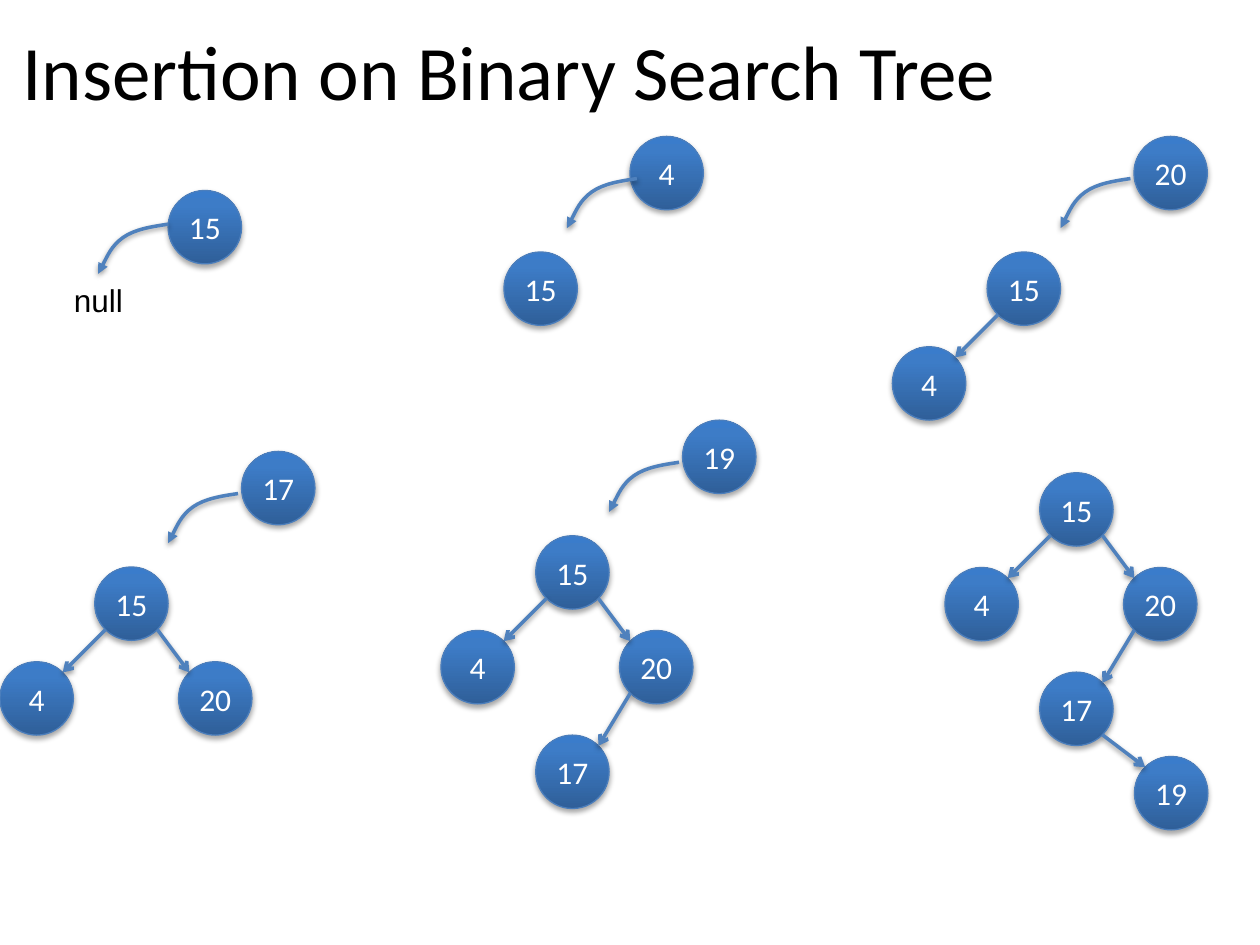
from copy import deepcopy

from lxml.etree import SubElement
from pptx import Presentation
from pptx.dml.color import RGBColor
from pptx.enum.dml import MSO_LINE
from pptx.enum.shapes import MSO_CONNECTOR, MSO_SHAPE
from pptx.enum.text import MSO_ANCHOR, MSO_AUTO_SIZE, PP_ALIGN
from pptx.oxml.ns import qn
from pptx.util import Cm, Pt

NODE = 1.48
RIM = NODE * 0.146
BRANCHES = {
    "4": (-1.91, 1.91, "15"),
    "20": (1.69, 1.91, "15"),
    "17": (0, 4.02, "20"),
    "19": (1.91, 5.72, "17"),
}
SWOOP = [(1.41, 0), (1.08, 0.05), (0.74, 0.1), (0.5, 0.27),
         (0.26, 0.44), (0, 1), (0, 1)]
STEPS = [
    (10.16, 5.08, [], "4", 2.54, 1.27),
    (19.9, 5.08, ["4"], "20", 2.96, 1.48),
    (1.91, 11.43, ["4", "20"], "17", 2.96, 1.48),
    (10.8, 10.8, ["4", "20", "17"], "19", 2.96, 1.48),
]


def color(hex_string):
    return RGBColor.from_string(hex_string)


def style_text(paragraph, font_name, size, hex_string):
    for run in paragraph.runs:
        run.font.name = font_name
        run.font.size = Pt(size)
        run.font.color.rgb = color(hex_string)


def add_shadow(shape, distance, opacity):
    properties = shape.element.spPr
    effects = properties.find(qn("a:effectLst"))
    if effects is None:
        effects = SubElement(properties, qn("a:effectLst"))
    shadow = SubElement(effects, qn("a:outerShdw"), blurRad=str(Pt(3.1)),
                        dist=str(Pt(distance)), dir="5400000", rotWithShape="0")
    black = SubElement(shadow, qn("a:srgbClr"), val="000000")
    SubElement(black, qn("a:alpha"), val=str(opacity * 1000))


def style_arrow(arrow, head):
    arrow.line.color.rgb = color("4F81BD")
    arrow.line.width = Pt(2)
    arrow.line.dash_style = MSO_LINE.SOLID
    outline = arrow.element.spPr.find(qn("a:ln"))
    SubElement(outline, qn("a:tailEnd"), type=head)
    add_shadow(arrow, 1.6, 38)


def add_node(slide, left, top, key):
    node = slide.shapes.add_shape(
        MSO_SHAPE.OVAL, Cm(left), Cm(top), Cm(NODE), Cm(NODE))
    node.fill.gradient()
    node.fill.gradient_angle = 90
    stop_list = node.element.spPr.find(".//" + qn("a:gsLst"))
    stop_list.append(deepcopy(stop_list[-1]))
    shades = [(0, "2F5F99"), (0.8, "3D7CC7"), (1, "3A7CCB")]
    for stop, (position, shade) in zip(node.fill.gradient_stops, shades):
        stop.position = position
        stop.color.rgb = color(shade)
    node.line.color.rgb = color("4B7EBC")
    node.line.width = Pt(0.75)
    node.shadow.inherit = False
    add_shadow(node, 1.8, 35)
    frame = node.text_frame
    frame.margin_left = frame.margin_right = 0
    frame.margin_top = frame.margin_bottom = 0
    frame.vertical_anchor = MSO_ANCHOR.MIDDLE
    frame.text = key
    frame.paragraphs[0].alignment = PP_ALIGN.CENTER
    style_text(frame.paragraphs[0], "Calibri", 18, "FFFFFF")


def add_edge(slide, parent, child):
    near, far = RIM, NODE - RIM
    goes_left = child[0] < parent[0]
    start_x, end_x = (near, far) if goes_left else (far, near)
    edge = slide.shapes.add_connector(
        MSO_CONNECTOR.STRAIGHT,
        Cm(parent[0] + start_x), Cm(parent[1] + far),
        Cm(child[0] + end_x), Cm(child[1] + near))
    style_arrow(edge, "arrow")


def add_swoop(slide, left, top):
    points = [(Cm(left + x), Cm(top + y)) for x, y in SWOOP]
    builder = slide.shapes.build_freeform(*points[0])
    builder.add_line_segments(points[1:], close=False)
    swoop = builder.convert_to_shape()
    path = swoop.element.spPr.find(".//" + qn("a:path"))
    segments = path.findall(qn("a:lnTo"))
    for first in range(0, len(segments), 3):
        curve = SubElement(path, qn("a:cubicBezTo"))
        for segment in segments[first:first + 3]:
            curve.append(segment[0])
            path.remove(segment)
    swoop.fill.background()
    swoop.shadow.inherit = False
    style_arrow(swoop, "triangle")


def add_tree(slide, left, top, keys):
    places = {"15": (left, top)}
    for key in keys:
        dx, dy, _ = BRANCHES[key]
        places[key] = (left + dx, top + dy)
    for key, place in places.items():
        add_node(slide, *place, key)
    for key in keys:
        add_edge(slide, places[BRANCHES[key][2]], places[key])


def add_empty_tree(slide, left, top):
    add_node(slide, left + 2.15, top, "15")
    add_swoop(slide, left + 0.74, top + 0.68)
    null = slide.shapes.add_textbox(
        Cm(left), Cm(top + 1.7), Cm(1.5), Cm(1.02))
    null.text_frame.word_wrap = False
    null.text_frame.auto_size = MSO_AUTO_SIZE.SHAPE_TO_FIT_TEXT
    null.text_frame.text = "null"
    style_text(null.text_frame.paragraphs[0], "Arial", 18, "000000")


def add_step(slide, left, top, keys, incoming, incoming_dx, swoop_dx):
    add_tree(slide, left, top, keys)
    add_node(slide, left + incoming_dx, top - 2.33, incoming)
    add_swoop(slide, left + swoop_dx, top - 1.48)


def add_title(slide, left, top, width, height):
    title = slide.shapes.title
    title.left, title.top = Cm(left), Cm(top)
    title.width, title.height = Cm(width), Cm(height)
    frame = title.text_frame
    frame.text = "Insertion on Binary Search Tree"
    frame.vertical_anchor = MSO_ANCHOR.MIDDLE
    frame.paragraphs[0].alignment = PP_ALIGN.LEFT
    style_text(frame.paragraphs[0], "Calibri", 44, "000000")


def main():
    deck = Presentation()
    deck.slide_width, deck.slide_height = Cm(25.4), Cm(19.05)
    slide = deck.slides.add_slide(deck.slide_layouts[5])
    add_title(slide, 0.2, 0.2, 24.77, 2.41)
    add_empty_tree(slide, 1.24, 3.84)
    for step in STEPS:
        add_step(slide, *step)
    add_tree(slide, 20.96, 9.53, list(BRANCHES))
    deck.save("out.pptx")


if __name__ == "__main__":
    main()
